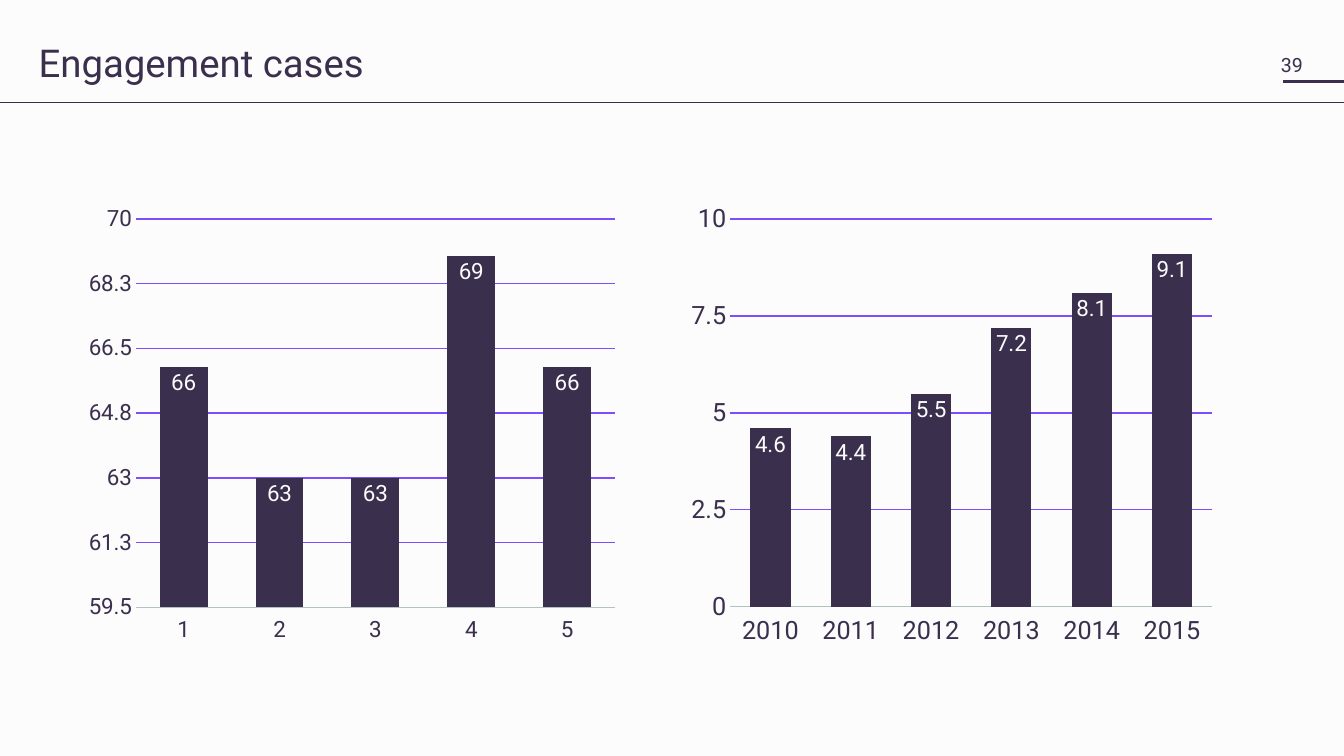
from lxml.etree import SubElement
from pptx import Presentation
from pptx.chart.data import CategoryChartData
from pptx.dml.color import RGBColor
from pptx.enum.chart import XL_CHART_TYPE, XL_LABEL_POSITION, XL_TICK_LABEL_POSITION, XL_TICK_MARK
from pptx.enum.shapes import MSO_CONNECTOR
from pptx.enum.text import MSO_ANCHOR
from pptx.oxml.ns import qn
from pptx.util import Pt

INK, PAPER, GRID, BASE = "3B2F4E", "FCFCFC", "7C4EFD", "B1C2C2"
FACE = "Roboto"
DIGITS = "0.#"


def tint(code):
    return RGBColor.from_string(code)


def style(font, size, color=INK, face=FACE):
    font.size = Pt(size)
    font.name = face
    font.bold = False
    font.color.rgb = tint(color)


def write(slide, text, box, size=16, inset=0, wrap=True, anchor=MSO_ANCHOR.TOP, leading=1):
    frame = slide.shapes.add_textbox(*map(Pt, box)).text_frame
    frame.margin_left = frame.margin_right = Pt(inset)
    frame.margin_top = frame.margin_bottom = Pt(inset)
    frame.word_wrap = wrap
    frame.vertical_anchor = anchor
    para = frame.paragraphs[0]
    para.line_spacing = leading
    run = para.add_run()
    run.text = text
    style(run.font, size)


def rule(slide, left, right, y, width):
    line = slide.shapes.add_connector(MSO_CONNECTOR.STRAIGHT, Pt(left), Pt(y), Pt(right), Pt(y))
    line.line.color.rgb = tint(INK)
    line.line.width = Pt(width)
    SubElement(line._element.spPr, qn("a:effectLst"))


def header(slide, box, title, number):
    left, top, width, height = box
    right, bottom = left + width, top + height
    rule(slide, right - 43.5, right, bottom - 15.2, 2)
    rule(slide, left, right, bottom, 0.5)
    write(slide, number, (right - 50, top + 33, 26, 26.5), size=14, inset=5,
          wrap=False, anchor=MSO_ANCHOR.MIDDLE)
    write(slide, title, (left + 24, top + 32.4, 823, 39), size=27.4, inset=3.6, leading=0.75)


def place(chart, plot):
    area = chart._chartSpace.chart.plotArea
    for old in area.findall(qn("c:layout")):
        area.remove(old)
    layout = SubElement(area, qn("c:layout"))
    area.insert(0, layout)
    manual = SubElement(layout, qn("c:manualLayout"))
    parts = [("layoutTarget", "inner"), ("xMode", "edge"), ("yMode", "edge")]
    for key, val in parts + list(zip("xywh", plot)):
        SubElement(manual, qn("c:" + key)).set("val", str(val))


def columns(slide, box, names, values, span, step, plot, size, overlap=0):
    data = CategoryChartData()
    data.categories = names
    data.add_series("Series 1", values)
    chart = slide.shapes.add_chart(XL_CHART_TYPE.COLUMN_CLUSTERED, *map(Pt, box), data).chart
    chart.has_legend = chart.has_title = False
    style(chart.font, 10, "15243B", "Calibri")
    place(chart, plot)

    cat, val = chart.category_axis, chart.value_axis
    for axis in (cat, val):
        axis.major_tick_mark = axis.minor_tick_mark = XL_TICK_MARK.NONE
        style(axis.tick_labels.font, size)
    cat.tick_label_position = XL_TICK_LABEL_POSITION.LOW
    cat.format.line.color.rgb = tint(BASE)
    cat.format.line.width = Pt(1)
    val.minimum_scale, val.maximum_scale = span
    val.major_unit = step
    val.tick_labels.number_format = DIGITS
    val.tick_labels.number_format_is_linked = False
    val.format.line.fill.background()
    val.has_major_gridlines = True
    val.major_gridlines.format.line.color.rgb = tint(GRID)
    val.major_gridlines.format.line.width = Pt(1)

    bars = chart.plots[0]
    bars.gap_width = 100
    bars.overlap = overlap
    bars.vary_by_categories = False
    series = bars.series[0]
    series.format.fill.solid()
    series.format.fill.fore_color.rgb = tint(INK)
    labels = series.data_labels
    labels.show_value = True
    labels.position = XL_LABEL_POSITION.INSIDE_END
    labels.number_format = DIGITS
    labels.number_format_is_linked = False
    style(labels.font, 16, PAPER)


def main():
    deck = Presentation()
    deck.slide_width, deck.slide_height = Pt(960), Pt(540)
    slide = deck.slides.add_slide(deck.slide_layouts[6])
    slide.background.fill.solid()
    slide.background.fill.fore_color.rgb = tint(PAPER)
    header(slide, (0, 0, 960, 73.3), "Engagement cases", "39")
    columns(slide, (51.8, 137.5, 389.5, 331.2), [str(n) for n in range(1, 6)],
            [66, 63, 63, 69, 66], (59.5, 70), 1.75,
            (0.116, 0.057, 0.879, 0.838), 16, overlap=4)
    columns(slide, (481.7, 134.6, 391.7, 337.7), [str(y) for y in range(2010, 2016)],
            [4.6, 4.4, 5.5, 7.2, 8.1, 9.1], (0, 10), 2.5,
            (0.102, 0.065, 0.879, 0.82), 18)
    deck.save("out.pptx")


if __name__ == "__main__":
    main()
